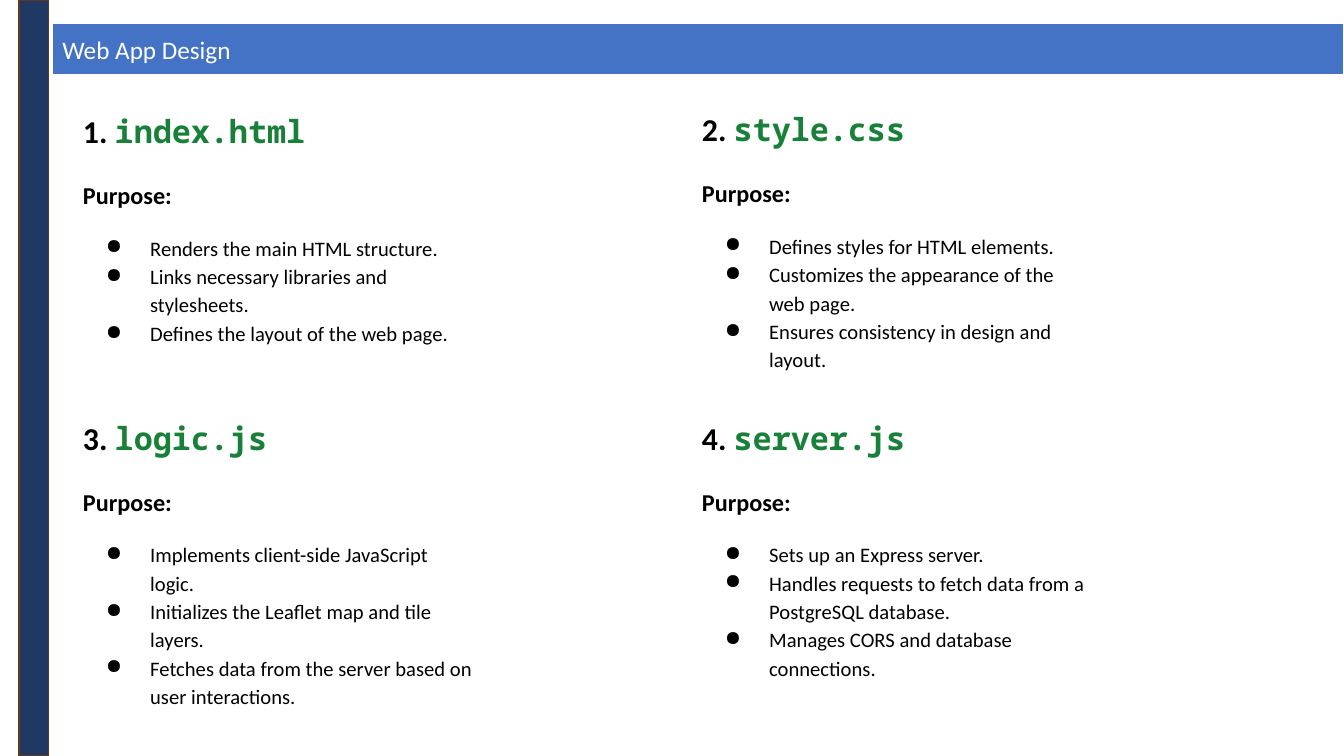
from dataclasses import dataclass

from lxml.etree import SubElement
from pptx import Presentation
from pptx.dml.color import RGBColor as RGB
from pptx.enum.shapes import MSO_SHAPE as SHAPE
from pptx.enum.text import MSO_ANCHOR as ANCHOR, PP_ALIGN as ALIGN
from pptx.oxml.ns import qn
from pptx.util import Pt


@dataclass(frozen=True)
class Theme:
    navy: RGB = RGB(0x20, 0x38, 0x64)
    brown: RGB = RGB(0x68, 0x37, 0x15)
    blue: RGB = RGB(0x44, 0x72, 0xC4)
    green: RGB = RGB(0x18, 0x80, 0x38)
    white: RGB = RGB(0xFF, 0xFF, 0xFF)
    black: RGB = RGB(0, 0, 0)
    body_font: str = "Calibri"
    code_font: str = "Noto Sans Mono"
    title: float = 18
    heading: float = 22.7
    label: float = 17.3
    bullet: float = 14.7


@dataclass(frozen=True)
class Bar:
    left: float
    top: float
    width: float
    height: float
    fill: RGB
    line: RGB
    line_width: float


@dataclass(frozen=True)
class FileCard:
    name: str
    top: float
    height: float
    purposes: tuple[str, ...]


THEME = Theme()
COLUMNS = (49.7, 491.8)
CARD_WIDTH = 297.4
INSET = 9.6
LINE_SPACING = 1.15
BULLET_INDENT, BULLET_HANG = 48, 31.7

SIDE_BAR = Bar(13.7, 0, 20.9, 540, THEME.navy, THEME.brown, 1)
TITLE_BAR = Bar(37.4, 16.6, 923, 36.9, THEME.blue, THEME.white, 1.5)

CARDS = (
    FileCard("index.html", 66.2, 213, (
        "Renders the main HTML structure.",
        "Links necessary libraries and stylesheets.",
        "Defines the layout of the web page.")),
    FileCard("style.css", 64.8, 216, (
        "Defines styles for HTML elements.",
        "Customizes the appearance of the web page.",
        "Ensures consistency in design and layout.")),
    FileCard("logic.js", 285.1, 225, (
        "Implements client-side JavaScript logic.",
        "Initializes the Leaflet map and tile layers.",
        "Fetches data from the server based on user interactions.")),
    FileCard("server.js", 285.1, 235, (
        "Sets up an Express server.",
        "Handles requests to fetch data from a PostgreSQL database.",
        "Manages CORS and database connections.")),
)


def style_run(r, size: float, color: RGB, bold: bool = False,
              font: str = THEME.body_font) -> None:
    r.font.name = font
    r.font.size = Pt(size)
    r.font.bold = bold
    r.font.color.rgb = color


def add_bar(slide, bar: Bar):
    sp = slide.shapes.add_shape(SHAPE.RECTANGLE, Pt(bar.left), Pt(bar.top),
                                Pt(bar.width), Pt(bar.height))
    sp.shadow.inherit = False
    sp.fill.solid()
    sp.fill.fore_color.rgb = bar.fill
    sp.line.color.rgb = bar.line
    sp.line.width = Pt(bar.line_width)
    return sp


def add_title(sp, text: str) -> None:
    tf = sp.text_frame
    tf.text = text
    tf.vertical_anchor = ANCHOR.MIDDLE
    p = tf.paragraphs[0]
    p.alignment = ALIGN.LEFT
    style_run(p.runs[0], THEME.title, THEME.white)


def set_bullet(p) -> None:
    pPr = p._p.get_or_add_pPr()
    pPr.set("marL", str(Pt(BULLET_INDENT)))
    pPr.set("indent", str(-Pt(BULLET_HANG)))
    color = SubElement(pPr, qn("a:buClr"))
    SubElement(color, qn("a:srgbClr")).set("val", str(THEME.black))
    SubElement(pPr, qn("a:buChar")).set("char", "●")


def add_line(tf, text: str, size: float, bold: bool, before: float):
    p = tf.add_paragraph()
    p.text = text
    p.line_spacing = LINE_SPACING
    p.space_before = Pt(before)
    style_run(p.runs[0], size, THEME.black, bold)
    return p


def add_card(slide, card: FileCard, number: int, left: float) -> None:
    box = slide.shapes.add_textbox(Pt(left), Pt(card.top),
                                   Pt(CARD_WIDTH), Pt(card.height))
    tf = box.text_frame
    tf.word_wrap = True
    tf.margin_left = tf.margin_right = Pt(INSET)
    tf.margin_top = tf.margin_bottom = Pt(INSET)

    # Numbered file name
    tf.text = f"{number}. "
    p = tf.paragraphs[0]
    p.line_spacing = LINE_SPACING
    style_run(p.runs[0], THEME.heading, THEME.black, True)
    r = p.add_run()
    r.text = card.name
    style_run(r, THEME.heading, THEME.green, True, THEME.code_font)

    # Purpose label and its bullets
    add_line(tf, "Purpose:", THEME.label, True, 18.7)
    for i, purpose in enumerate(card.purposes):
        set_bullet(add_line(tf, purpose, THEME.bullet, False, 0 if i else 16))


def main() -> None:
    prs = Presentation()
    prs.slide_width, prs.slide_height = Pt(960), Pt(540)
    slide = prs.slides.add_slide(prs.slide_layouts[6])

    # Side bar and title bar
    add_bar(slide, SIDE_BAR)
    add_title(add_bar(slide, TITLE_BAR), "Web App Design")

    # File cards, two per row
    for i, card in enumerate(CARDS):
        add_card(slide, card, i + 1, COLUMNS[i % len(COLUMNS)])

    prs.save("out.pptx")


if __name__ == "__main__":
    main()
